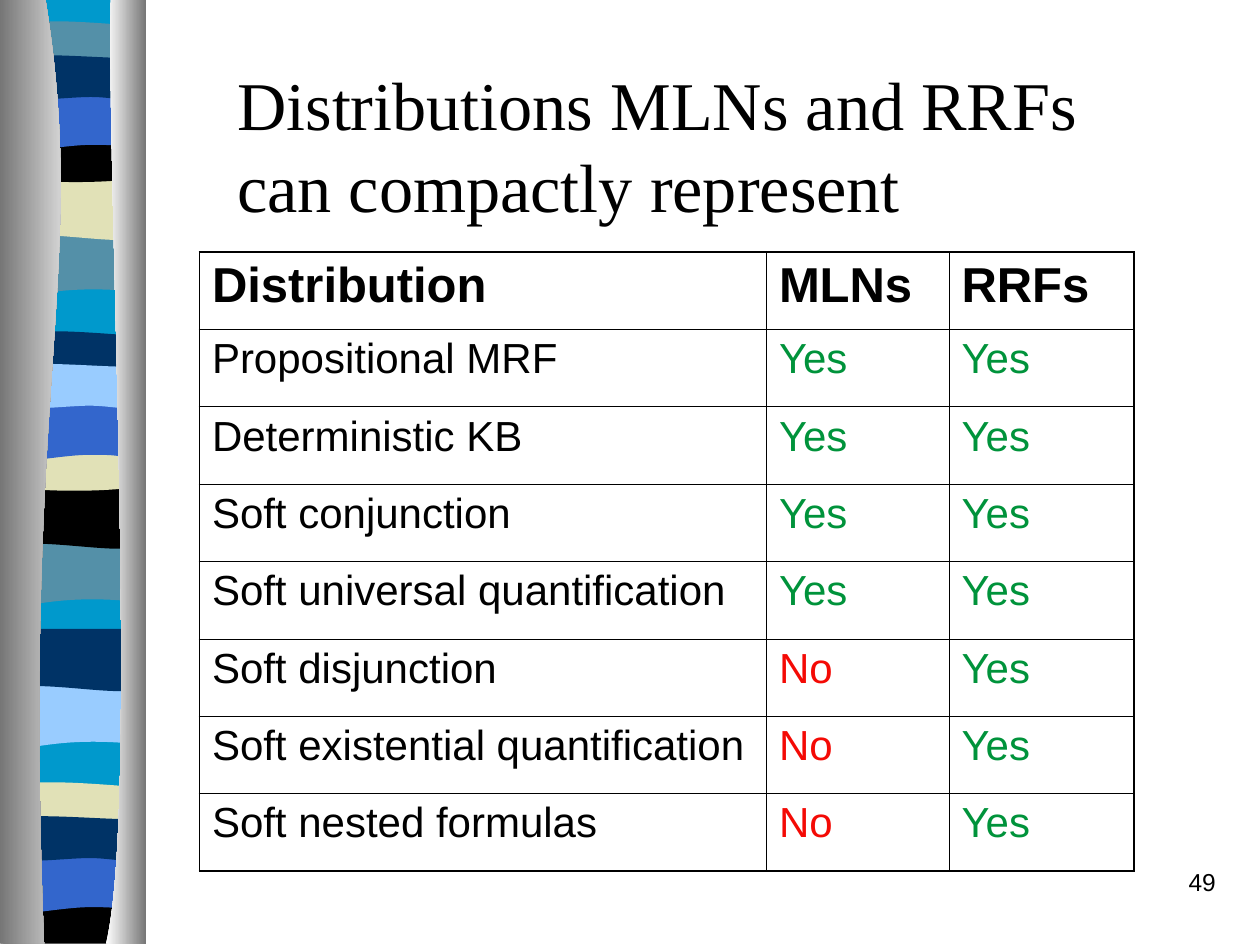
from lxml.etree import SubElement as Sub
from pptx import Presentation
from pptx.dml.color import RGBColor as RGB
from pptx.enum.text import MSO_ANCHOR as Anchor, MSO_AUTO_SIZE as Fit, PP_ALIGN as Align
from pptx.oxml.ns import qn
from pptx.util import Cm, Pt

HUES = {
    "black": "000000", "white": "FFFFFF", "gray": "767676",
    "cyan": "0099CC", "teal": "5490A8", "sand": "E1E1B7",
    "blue": "3366CC", "navy": "003366", "sky": "99CCFF",
    "green": "00933B", "red": "F40A05",
}
UNIT = Cm(0.0254)  # outlines are drawn in hundredths of an inch

# Outlines of the ribbon bands: a pair is a corner, a six-tuple is a curve
BANDS = {
    "dip": [(108, 0), (108, 47), (33, 39, 18, 55, 0, 47), (0, 0)],
    "wave": [(108, 0), (108, 47), (90, 55, 33, 41, 0, 47), (0, 0)],
    "thin": [(108, 5), (108, 29), (90, 33, 18, 33, 0, 29), (0, 5),
             (6, 0, 23, 1, 41, 1), (59, 1, 94, 4, 108, 5)],
    "bowl": [(108, 0), (108, 32), (90, 38, 18, 38, 0, 32), (0, 0),
             (66, 5, 85, 0, 108, 0)],
    "arch": [(108, 0), (108, 47), (91, 41, 84, 41, 66, 41),
             (48, 41, 16, 47, 0, 47), (0, 0)],
    "swell": [(108, 5), (108, 36), (101, 41, 84, 36, 66, 36),
              (48, 36, 11, 41, 0, 36), (0, 5), (15, 0, 73, 5, 91, 5),
              (109, 5, 104, 5, 108, 5)],
    "base": [(108, 0), (108, 37), (0, 37), (0, 0), (66, 5, 85, 0, 108, 0)],
    "full": [(108, 0), (108, 748), (0, 748), (0, 0)],
}
# Band, left, top, colour, from back to front
RIBBON = [
    ("full", 6, -1, "cyan"),
    ("dip", 6, 185, "teal"), ("wave", 6, 141, "sand"), ("thin", 6, 16, "teal"),
    ("bowl", 6, 108, "black"), ("arch", 6, 74, "blue"), ("swell", 6, 41, "navy"),
    ("dip", 5, 431, "teal"), ("wave", 5, 386, "black"), ("thin", 5, 262, "navy"),
    ("bowl", 5, 353, "sand"), ("arch", 5, 320, "blue"), ("swell", 5, 286, "sky"),
    ("dip", 6, 544, "sky"), ("wave", 6, 499, "navy"), ("thin", 5, 620, "sand"),
    ("base", 5, 712, "black"), ("arch", 5, 679, "blue"), ("swell", 5, 645, "navy"),
]
# Shaded edges that frame the ribbon
LEFT = [(36, -1), (71, 216, 17, 296, 35, 749), (0, 749), (0, -1)]
RIGHT = [(88, -1), (84, 125, 111, 646, 84, 749), (116, 749), (116, 0)]

HEAD = ["Distribution", "MLNs", "RRFs"]
ROWS = [
    ["Propositional MRF", "Yes", "Yes"],
    ["Deterministic KB", "Yes", "Yes"],
    ["Soft conjunction", "Yes", "Yes"],
    ["Soft universal quantification", "Yes", "Yes"],
    ["Soft disjunction", "No", "Yes"],
    ["Soft existential quantification", "No", "Yes"],
    ["Soft nested formulas", "No", "Yes"],
]
MARKS = {"Yes": "green", "No": "red"}


def tint(name):
    return RGB.from_string(HUES[name])


def write(frame, text, size=24, font="Arial", hue="black", bold=False,
          align=Align.LEFT):
    frame.text = text
    for para in frame.paragraphs:
        para.alignment = align
        for run in para.runs:
            run.font.size, run.font.name = Pt(size), font
            run.font.bold = bold
            run.font.color.rgb = tint(hue)


def bend(form, steps):
    """Merge the three straight segments of each curve into one Bezier."""
    track = next(form._element.iter(qn("a:path")))
    lines = iter(track.findall(qn("a:lnTo")))
    for step in steps[1:]:
        line = next(lines)
        if len(step) == 6:
            line.tag = qn("a:cubicBezTo")
            for _ in range(2):
                extra = next(lines)
                line.append(extra[0])
                track.remove(extra)


def border(cell, side, width):
    line = Sub(cell._tc.get_or_add_tcPr(), qn("a:ln" + side), w=str(Pt(width)))
    Sub(Sub(line, qn("a:solidFill")), qn("a:srgbClr"), val=HUES["black"])


class Deck:
    def __init__(self):
        self.prs = Presentation()
        self.prs.slide_width, self.prs.slide_height = Cm(25.4), Cm(19.05)
        self.slide = self.prs.slides.add_slide(self.prs.slide_layouts[5])
        self.shapes = self.slide.shapes

    def title(self, text, x, y, w, h):
        box = self.shapes.title
        box.left, box.top, box.width, box.height = map(Cm, (x, y, w, h))
        frame = box.text_frame
        frame.auto_size, frame.word_wrap = Fit.NONE, True
        frame.vertical_anchor = Anchor.MIDDLE
        write(frame, text, size=39, font="Times New Roman")

    def note(self, text, x, y, w, h, **style):
        frame = self.shapes.add_textbox(*map(Cm, (x, y, w, h))).text_frame
        frame.word_wrap = True
        write(frame, text, **style)

    def shape(self, steps, hues, x=0, y=0):
        dots = [(step[i] + x, step[i + 1] + y)
                for step in steps for i in range(0, len(step), 2)]
        pen = self.shapes.build_freeform(*dots[0], scale=UNIT)
        pen.add_line_segments(dots[1:], close=True)
        form = pen.convert_to_shape()
        bend(form, steps)
        form.shadow.inherit = False
        form.line.fill.background()
        if len(hues) == 1:
            form.fill.solid()
            form.fill.fore_color.rgb = tint(hues[0])
        else:
            form.fill.gradient()
            form.fill.gradient_angle = 0
            for stop, hue in zip(form.fill.gradient_stops, hues):
                stop.color.rgb = tint(hue)

    def table(self, rows, x, y, widths, high):
        size = (len(rows), len(widths))
        grid = self.shapes.add_table(*size, Cm(x), Cm(y), Cm(sum(widths)),
                                     Cm(high * len(rows))).table
        grid.first_row = grid.horz_banding = False
        for col, wide in zip(grid.columns, widths):
            col.width = Cm(wide)
        for r, row in enumerate(rows):
            grid.rows[r].height = Cm(high)
            for c, text in enumerate(row):
                cell = grid.cell(r, c)
                write(cell.text_frame, text, size=24 if r else 28,
                      bold=r == 0, hue=MARKS.get(text, "black"))
                outer = {"L": c == 0, "R": c == size[1] - 1,
                         "T": r == 0, "B": r == size[0] - 1}
                for side, edge in outer.items():
                    border(cell, side, 1.08 if edge else 0.45)
                cell.fill.background()


def main():
    deck = Deck()
    # Ribbon on the left
    for band, x, y, hue in RIBBON:
        deck.shape(BANDS[band], [hue], x, y)
    deck.shape(LEFT, ["gray", "white"])
    deck.shape(RIGHT, ["white", "gray"])
    # Title, table and page number
    deck.title("Distributions MLNs and RRFs\vcan compactly represent",
               4.53, 1.73, 18.85, 2.34)
    deck.table([HEAD] + ROWS, 4.02, 5.08, [11.43, 3.68, 3.73], 1.56)
    deck.note("49", 19.48, 17.35, 5.28, 1.27, size=14, align=Align.RIGHT)
    deck.prs.save("out.pptx")


if __name__ == "__main__":
    main()
